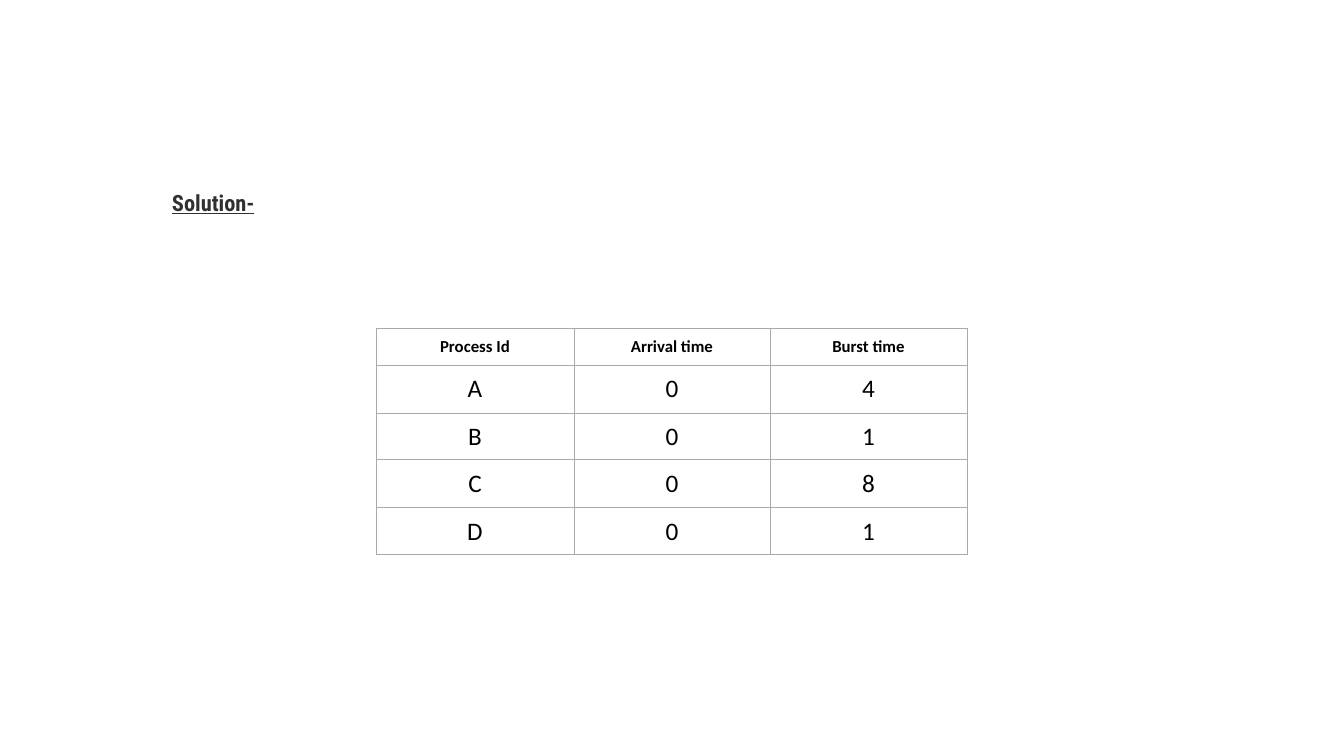
from lxml.etree import SubElement
from pptx import Presentation
from pptx.dml.color import RGBColor
from pptx.enum.text import MSO_ANCHOR, MSO_AUTO_SIZE, PP_ALIGN
from pptx.oxml.ns import qn
from pptx.util import Emu, Pt

WHITE = RGBColor(0xFF, 0xFF, 0xFF)
BLACK = RGBColor(0x00, 0x00, 0x00)
CHARCOAL = RGBColor(0x30, 0x30, 0x30)
GREY = RGBColor(0xAA, 0xAA, 0xAA)

TITLE_FONT = {"name": "Roboto Condensed", "size": Pt(16), "bold": True, "underline": True}
HEADER_FONT = {"name": "Calibri", "size": Pt(12), "bold": True}
BODY_FONT = {"name": "Calibri", "size": Pt(18), "bold": False}

PROCESSES = [
    ("Process Id", "Arrival time", "Burst time"),
    ("A", "0", "4"),
    ("B", "0", "1"),
    ("C", "0", "8"),
    ("D", "0", "1"),
]
COLUMN_WIDTHS = [198, 196, 197]
ROW_HEIGHTS = [37, 48, 47, 48, 47]


def px(n):
    return Emu(round(n * 914400 / 100.8))


def set_attrs(obj, values):
    for name, value in values.items():
        setattr(obj, name, value)


def write(tf, text, font, color, align):
    p = tf.paragraphs[0]
    p.alignment = align
    r = p.add_run()
    r.text = text
    set_attrs(r.font, font)
    r.font.color.rgb = color


def add_title(s, text, left, top, width, height):
    sp = s.shapes.title
    set_attrs(sp, {"left": px(left), "top": px(top), "width": px(width), "height": px(height)})
    sp.fill.solid()
    sp.fill.fore_color.rgb = WHITE
    tf = sp.text_frame
    set_attrs(tf, {
        "margin_left": 0, "margin_right": 0, "margin_top": px(1), "margin_bottom": 0,
        "word_wrap": True, "auto_size": MSO_AUTO_SIZE.NONE,
        "vertical_anchor": MSO_ANCHOR.TOP,
    })
    write(tf, text, TITLE_FONT, CHARCOAL, PP_ALIGN.LEFT)


def add_borders(cell):
    tc_pr = cell._tc.get_or_add_tcPr()
    for side in ("a:lnL", "a:lnR", "a:lnT", "a:lnB"):
        ln = SubElement(tc_pr, qn(side), w=str(Pt(0.75)))
        fill = SubElement(ln, qn("a:solidFill"))
        SubElement(fill, qn("a:srgbClr"), val=str(GREY))


def format_cell(cell, text, font):
    set_attrs(cell, {
        "margin_left": px(10), "margin_right": px(10),
        "margin_top": px(8), "margin_bottom": px(8),
        "vertical_anchor": MSO_ANCHOR.MIDDLE,
    })
    write(cell.text_frame, text, font, BLACK, PP_ALIGN.CENTER)
    add_borders(cell)
    cell.fill.solid()
    cell.fill.fore_color.rgb = WHITE


def add_process_table(s, left, top):
    table = s.shapes.add_table(
        len(PROCESSES), len(COLUMN_WIDTHS), px(left), px(top),
        px(sum(COLUMN_WIDTHS)), px(sum(ROW_HEIGHTS)),
    ).table
    table.horz_banding = False
    for column, width in zip(table.columns, COLUMN_WIDTHS):
        column.width = px(width)
    for i, (row, height, values) in enumerate(zip(table.rows, ROW_HEIGHTS, PROCESSES)):
        row.height = px(height)
        for cell, text in zip(row.cells, values):
            format_cell(cell, text, BODY_FONT if i else HEADER_FONT)


def main():
    prs = Presentation()
    set_attrs(prs, {"slide_width": px(1344), "slide_height": px(756)})
    s = prs.slides.add_slide(prs.slide_layouts[5])
    add_title(s, "Solution-", 172, 188, 858, 65)
    add_process_table(s, 376, 328)
    prs.save("out.pptx")


if __name__ == "__main__":
    main()
